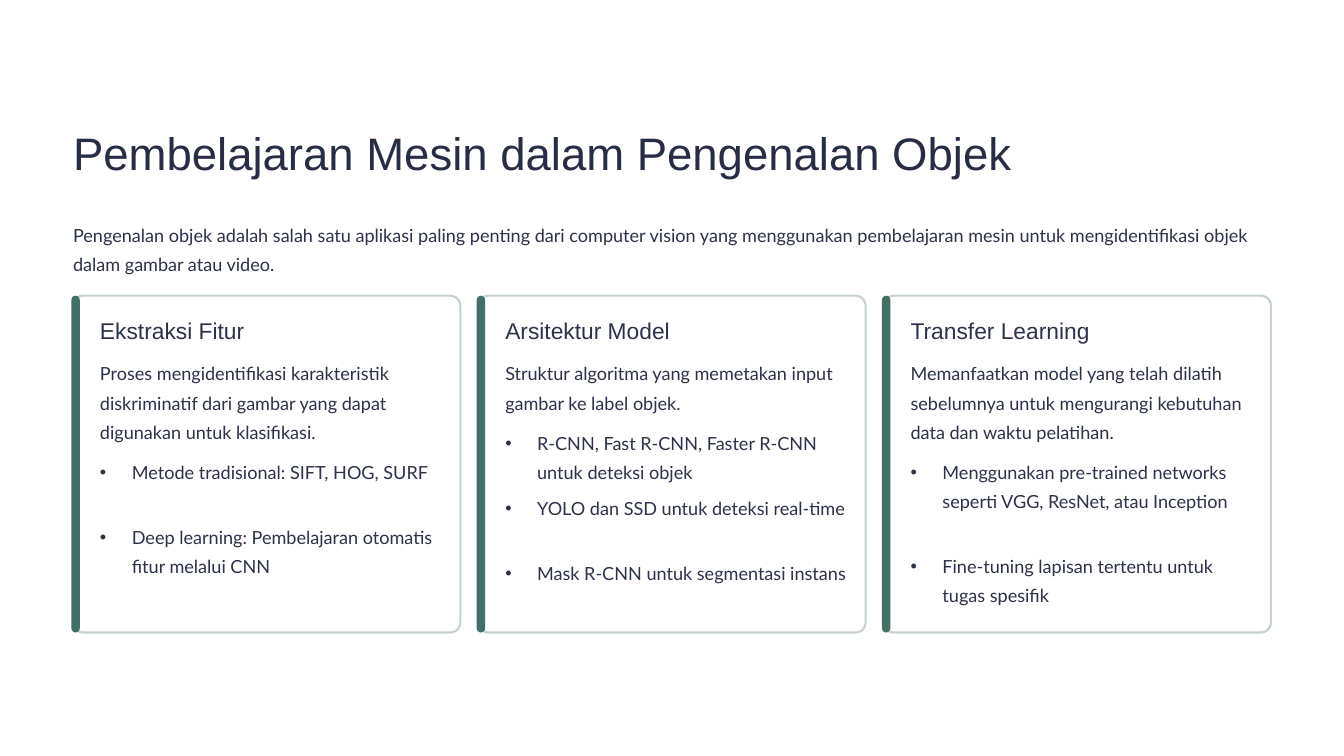
from lxml.etree import SubElement
from pptx import Presentation
from pptx.dml.color import RGBColor
from pptx.enum.shapes import MSO_SHAPE as Shape
from pptx.oxml.ns import qn
from pptx.util import Inches, Pt

TITLE_COLOR, TEXT_COLOR = "272D45", "2C3249"
CARD_LINE, ACCENT, WHITE = "C5D2CF", "437066", "FFFFFF"
LEFT, CONTENT_WIDTH = 0.87, 14.26
CARD_TOP, CARD_WIDTH, CARD_HEIGHT = 3.52, 4.61, 4.01
BODY_SPACING = 25
LINE_HEIGHT = BODY_SPACING / 72

# Heading, (description, lines), [(bullet, lines reserved)]
CARDS = [
    ("Ekstraksi Fitur",
     ("Proses mengidentifikasi karakteristik diskriminatif dari gambar yang "
      "dapat digunakan untuk klasifikasi.", 3),
     [("Metode tradisional: SIFT, HOG, SURF", 2),
      ("Deep learning: Pembelajaran otomatis fitur melalui CNN", 2)]),
    ("Arsitektur Model",
     ("Struktur algoritma yang memetakan input gambar ke label objek.", 2),
     [("R-CNN, Fast R-CNN, Faster R-CNN untuk deteksi objek", 2),
      ("YOLO dan SSD untuk deteksi real-time", 2),
      ("Mask R-CNN untuk segmentasi instans", 2)]),
    ("Transfer Learning",
     ("Memanfaatkan model yang telah dilatih sebelumnya untuk mengurangi "
      "kebutuhan data dan waktu pelatihan.", 3),
     [("Menggunakan pre-trained networks seperti VGG, ResNet, atau Inception", 3),
      ("Fine-tuning lapisan tertentu untuk tugas spesifik", 2)]),
]


def rgb(value):
    return RGBColor.from_string(value)


def add_text(page, left, top, width, height, text, size=15.5, font="Lato",
             color=TEXT_COLOR, spacing=BODY_SPACING, bullet=False):
    box = page.shapes.add_textbox(*map(Inches, (left, top, width, height)))
    frame = box.text_frame
    frame.word_wrap = True
    frame.margin_left = frame.margin_right = 0
    frame.margin_top = frame.margin_bottom = 0
    para = frame.paragraphs[0]
    para.line_spacing = Pt(spacing)
    if bullet:
        props = para._p.get_or_add_pPr()
        props.set("marL", str(Inches(0.38)))
        props.set("indent", str(Inches(-0.38)))
        SubElement(props, qn("a:buFont"), typeface="Arial")
        SubElement(props, qn("a:buChar"), char="•")
    span = para.add_run()
    span.text = text
    span.font.size = Pt(size)
    span.font.name = font
    span.font.color.rgb = rgb(color)


def add_panel(page, left, top, width, height, radius, fill, line=None):
    panel = page.shapes.add_shape(Shape.ROUNDED_RECTANGLE,
                                  *map(Inches, (left, top, width, height)))
    panel.shadow.inherit = False
    panel.adjustments[0] = radius
    panel.fill.solid()
    panel.fill.fore_color.rgb = rgb(fill)
    if line:
        panel.line.color.rgb = rgb(line)
        panel.line.width = Pt(1.8)
    else:
        panel.line.fill.background()


def add_header(page, left, top, width):
    add_text(page, left, top, width, 0.68,
             "Pembelajaran Mesin dalam Pengenalan Objek", size=39,
             font="Arial", color=TITLE_COLOR, spacing=48.5)
    add_text(page, left, top + 1.11, width, 2 * LINE_HEIGHT,
             "Pengenalan objek adalah salah satu aplikasi paling penting dari "
             "computer vision yang menggunakan pembelajaran mesin untuk "
             "mengidentifikasi objek dalam gambar atau video.")


def add_card(page, left, top, width, height, heading, description, bullets):
    add_panel(page, left, top, width, height, 0.03, WHITE, CARD_LINE)
    add_panel(page, left - 0.02, top, 0.1, height, 0.5, ACCENT)
    text_left, text_width = left + 0.32, width - 0.52
    add_text(page, text_left, top + 0.24, text_width, 0.34, heading,
             size=19.5, font="Arial", spacing=24)
    text, lines = description
    text_top = top + 0.71
    add_text(page, text_left, text_top, text_width, lines * LINE_HEIGHT, text)
    text_top += lines * LINE_HEIGHT + 0.13
    for text, lines in bullets:
        add_text(page, text_left, text_top, text_width, lines * LINE_HEIGHT,
                 text, bullet=True)
        text_top += lines * LINE_HEIGHT + 0.08


def main():
    deck = Presentation()
    deck.slide_width, deck.slide_height = Inches(16), Inches(9)
    page = deck.slides.add_slide(deck.slide_layouts[6])
    page.background.fill.solid()
    page.background.fill.fore_color.rgb = rgb(WHITE)
    add_header(page, LEFT, 1.47, CONTENT_WIDTH)
    pitch = (CONTENT_WIDTH - CARD_WIDTH) / (len(CARDS) - 1)
    for index, card in enumerate(CARDS):
        add_card(page, LEFT + index * pitch, CARD_TOP, CARD_WIDTH,
                 CARD_HEIGHT, *card)
    deck.save("out.pptx")


if __name__ == "__main__":
    main()
